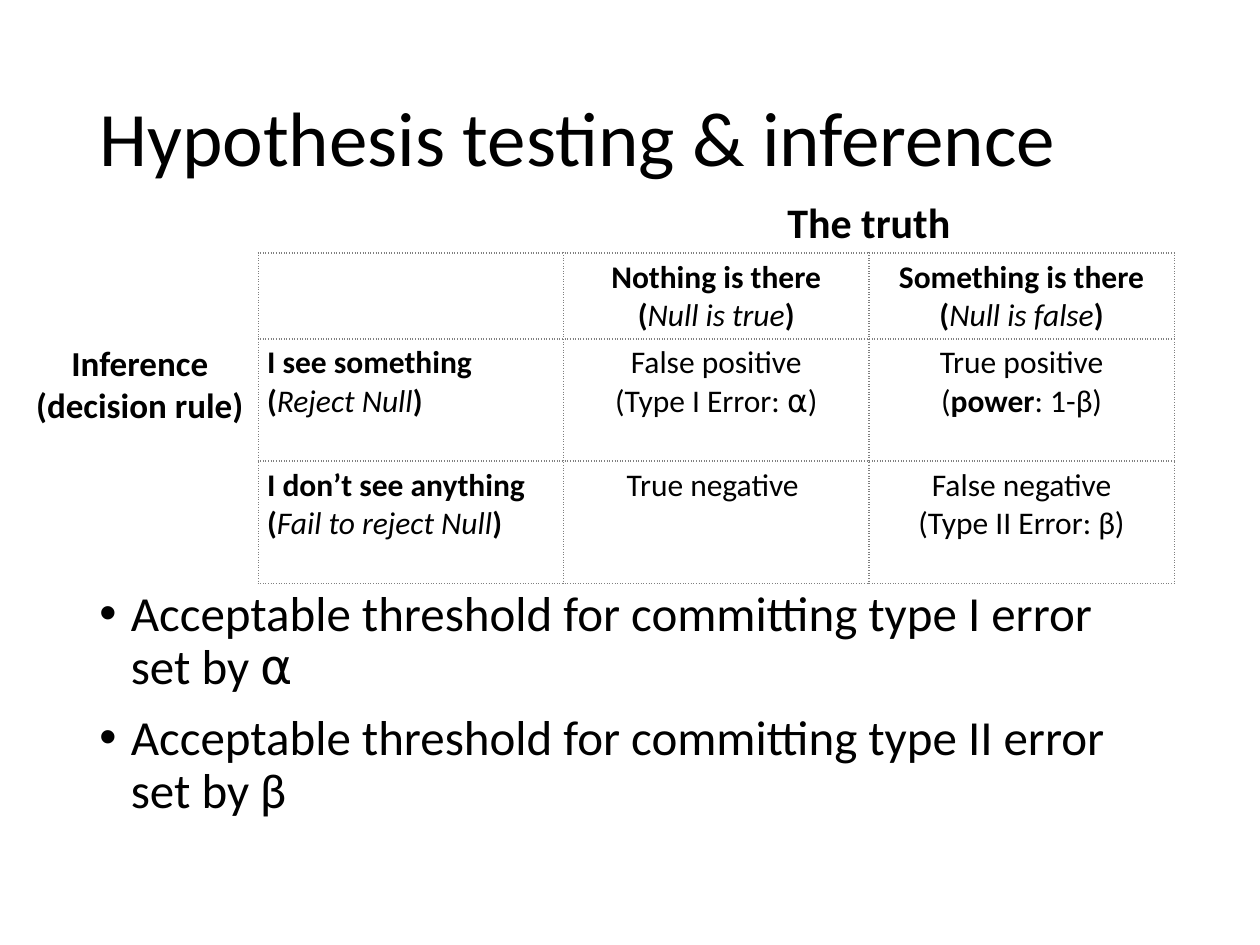
import pptx
import pptx.dml.color
import pptx.enum.text
import pptx.oxml
import pptx.oxml.ns
import pptx.util

Inches = pptx.util.Inches
ALIGN = pptx.enum.text.PP_ALIGN
NS = pptx.oxml.ns.nsdecls("a")


def color(hex_code):
    return pptx.dml.color.RGBColor.from_string(hex_code)


def write(frame, lines, size, align):
    """Fill a text frame; each line is a list of (text, style), style using b and i."""
    for number, line in enumerate(lines):
        paragraph = frame.paragraphs[0] if number == 0 else frame.add_paragraph()
        paragraph.alignment = align
        for text, style in line:
            run = paragraph.add_run()
            run.text = text
            run.font.name = "Calibri"
            run.font.size = pptx.util.Pt(size)
            run.font.bold = "b" in style
            run.font.italic = "i" in style
            run.font.color.rgb = color("000000")


deck = pptx.Presentation()
deck.slide_width, deck.slide_height = Inches(10), Inches(7.5)
slide = deck.slides.add_slide(deck.slide_layouts[6])

# Title
title = slide.shapes.add_textbox(Inches(0.69), Inches(0.4), Inches(8.62), Inches(1.45)).text_frame
title.word_wrap = True
title.vertical_anchor = pptx.enum.text.MSO_ANCHOR.MIDDLE
write(title, [[("Hypothesis testing & inference", "")]], 44, ALIGN.LEFT)
title.paragraphs[0].line_spacing = 0.9

# Bullets on the error thresholds
thresholds = slide.shapes.add_textbox(Inches(0.69), Inches(4.63), Inches(8.62), Inches(2.13)).text_frame
thresholds.word_wrap = True
write(thresholds, [
    [("Acceptable threshold for committing type I error set by ⍺", "")],
    [("Acceptable threshold for committing type II error set by β", "")],
], 28, ALIGN.LEFT)
for paragraph in thresholds.paragraphs:
    paragraph.line_spacing = 0.9
    paragraph.space_before = pptx.util.Pt(10)
    properties = paragraph._p.get_or_add_pPr()
    properties.set("marL", str(Inches(0.25)))
    properties.set("indent", str(-Inches(0.25)))
    properties.append(pptx.oxml.parse_xml(f'<a:buFont {NS} typeface="Arial"/>'))
    properties.append(pptx.oxml.parse_xml(f'<a:buChar {NS} char="•"/>'))

# Decision table: truth across, inference down
outcomes = [
    [
        [],
        [[("Nothing is there", "b")], [("(", "b"), ("Null is true", "i"), (")", "b")]],
        [[("Something is there", "b")], [("(", "b"), ("Null is false", "i"), (")", "b")]],
    ],
    [
        [[("I see something", "b")], [("(", "b"), ("Reject Null", "i"), (")", "b")]],
        [[("False positive", "")], [("(Type I Error: ⍺)", "")]],
        [[("True positive", "")], [("(", ""), ("power", "b"), (": 1-β)", "")]],
    ],
    [
        [[("I don’t see anything", "b")], [("(", "b"), ("Fail to reject Null", "i"), (")", "b")]],
        [[("True negative ", "")]],
        [[("False negative", "")], [("(Type II Error: β)", "")]],
    ],
]
table = slide.shapes.add_table(3, 3, Inches(2.05), Inches(2.01), Inches(7.27), Inches(2.62)).table
table.first_row = table.horz_banding = False
for row, height in zip(table.rows, (0.68, 0.97, 0.97)):
    row.height = Inches(height)
for row_number, row in enumerate(outcomes):
    for column_number, lines in enumerate(row):
        cell = table.cell(row_number, column_number)
        cell.margin_left = cell.margin_right = Inches(0.07)
        cell.margin_top = cell.margin_bottom = Inches(0.04)
        write(cell.text_frame, lines, 18, ALIGN.CENTER if column_number else ALIGN.LEFT)
        for side in "LRTB":
            cell._tc.get_or_add_tcPr().append(pptx.oxml.parse_xml(
                f'<a:ln{side} {NS} w="{pptx.util.Pt(1)}"><a:solidFill><a:srgbClr val="808080"/>'
                f'</a:solidFill><a:prstDash val="sysDot"/></a:ln{side}>'))
        cell.fill.background()

# Axis labels of the table
axis_labels = [
    (0.18, 2.66, 1.86, 0.77, 20, ALIGN.CENTER, ["Inference", "(decision rule)"]),
    (6.15, 1.51, 1.51, 0.5, 24, ALIGN.LEFT, ["The truth"]),
]
for left, top, width, height, size, align, lines in axis_labels:
    label = slide.shapes.add_textbox(Inches(left), Inches(top), Inches(width), Inches(height)).text_frame
    label.word_wrap = False
    label.auto_size = pptx.enum.text.MSO_AUTO_SIZE.SHAPE_TO_FIT_TEXT
    write(label, [[(line, "b")] for line in lines], size, align)

deck.save("out.pptx")
